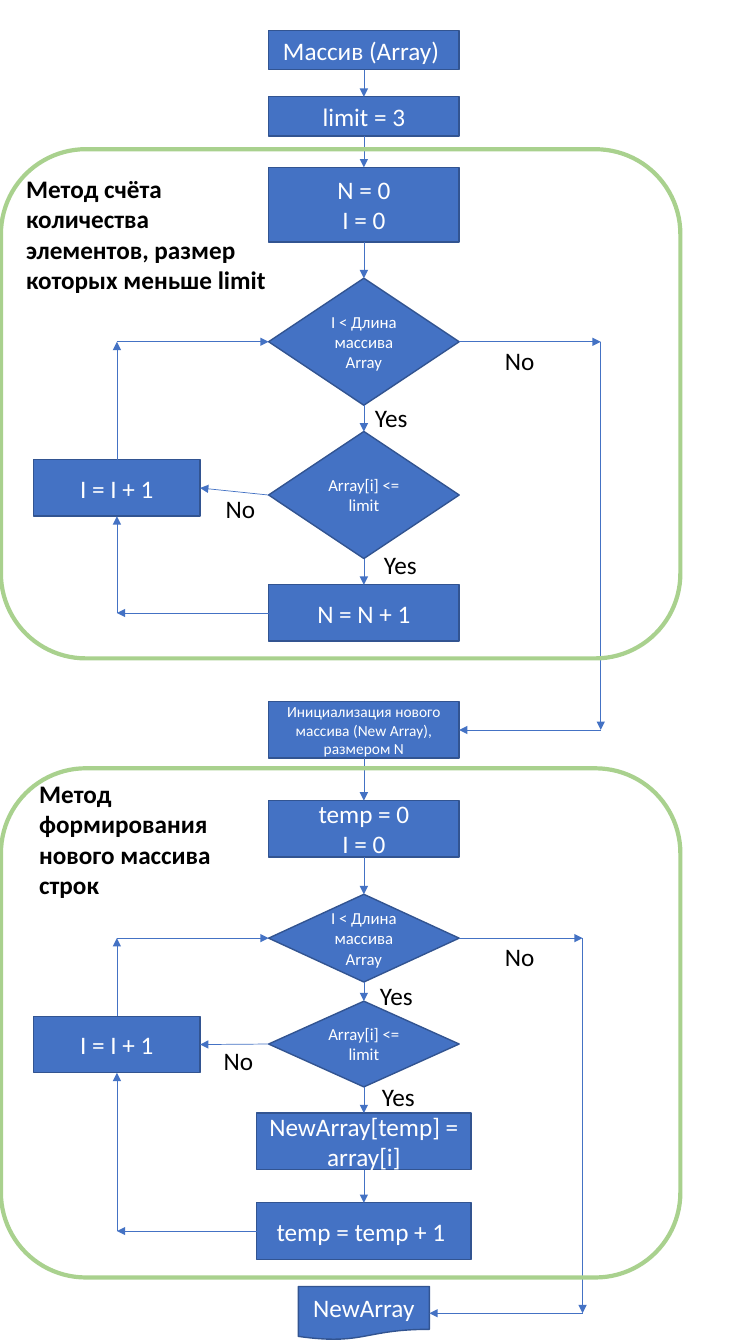
from dataclasses import dataclass
from itertools import pairwise

from lxml.etree import SubElement
from pptx import Presentation
from pptx.dml.color import RGBColor
from pptx.enum.shapes import MSO_CONNECTOR, MSO_SHAPE
from pptx.enum.text import MSO_ANCHOR, MSO_AUTO_SIZE, PP_ALIGN
from pptx.oxml.ns import qn
from pptx.shapes.autoshape import Shape
from pptx.shapes.shapetree import SlideShapes
from pptx.text.text import TextFrame
from pptx.util import Inches, Pt

FONT = "Calibri"
COLORS = {
    "step": "4472C4",
    "outline": "325491",
    "frame": "A9D18E",
    "light": "FFFFFF",
    "dark": "000000",
}
TOP, LEFT, BOTTOM, RIGHT = range(4)
SPINE_X, LOOP_X = 3.61, 1.16
COUNT_EXIT_X, BUILD_EXIT_X = 5.96, 5.78


@dataclass(frozen=True)
class Step:
    text: str
    center: float
    top: float
    height: float = 0.56
    width: float = 1.89
    size: int = 18
    outline: MSO_SHAPE = MSO_SHAPE.RECTANGLE

    @property
    def left(self) -> float:
        return self.center - self.width / 2

    @property
    def middle(self) -> float:
        return self.top + self.height / 2


@dataclass(frozen=True)
class Port:
    step: str
    side: int


@dataclass(frozen=True)
class Corner:
    x: float
    y: float


@dataclass(frozen=True)
class Label:
    text: str
    left: float
    top: float
    width: float
    height: float = 0.4
    bold: bool = False


@dataclass(frozen=True)
class Frame:
    top: float
    title: Label


def decision(text: str, top: float, height: float) -> Step:
    return Step(text, SPINE_X, top, height, size=12, outline=MSO_SHAPE.FLOWCHART_DECISION)


STEPS = {
    "array": Step("Массив (Array) ", SPINE_X, 0.3, 0.39),
    "limit": Step("limit = 3", SPINE_X, 0.96, 0.39),
    "count start": Step("N = 0\nI = 0", SPINE_X, 1.66, 0.74),
    "count length": decision("I < Длина массива Array", 2.76, 1.26),
    "count check": decision("Array[i] <= limit", 4.28, 1.26),
    "count add": Step("N = N + 1", SPINE_X, 5.8),
    "count next": Step("I = I + 1", LOOP_X, 4.56, width=1.65),
    "new array": Step("Инициализация нового массива (New Array), размером N", SPINE_X, 6.96, size=11),
    "build start": Step("temp = 0\nI = 0", SPINE_X, 7.94),
    "build length": decision("I < Длина массива Array", 8.87, 0.87),
    "build check": decision("Array[i] <= limit", 9.93, 0.85),
    "build copy": Step("NewArray[temp] = array[i]", SPINE_X, 11.04, width=2.13),
    "build add": Step("temp = temp + 1 ", SPINE_X, 11.93, width=2.13),
    "build next": Step("I = I + 1", LOOP_X, 10.08, width=1.65),
    "result": Step("NewArray", SPINE_X, 12.76, 0.53, 1.3, outline=MSO_SHAPE.FLOWCHART_DOCUMENT),
}
CHAINS = [
    ["array", "limit", "count start", "count length", "count check", "count add"],
    ["new array", "build start", "build length", "build check", "build copy", "build add"],
]
EXITS = [
    ("count length", COUNT_EXIT_X, "new array"),
    ("build length", BUILD_EXIT_X, "result"),
]
LABELS = [
    Label("Yes", 3.62, 3.94, 0.6),
    Label("Yes", 3.71, 5.4, 0.6),
    Label("No", 2.14, 4.84, 0.52),
    Label("No", 4.91, 3.38, 0.52),
    Label("No", 2.12, 10.32, 0.52),
    Label("No", 4.91, 9.29, 0.52),
    Label("Yes", 3.67, 9.67, 0.6),
    Label("Yes", 3.69, 10.68, 0.6),
]
FRAMES = [
    Frame(1.48, Label("Метод счёта количества элементов, размер которых меньше limit",
                      0.16, 1.67, 2.62, 1.31, True)),
    Frame(7.62, Label("Метод формирования нового массива строк",
                      0.29, 7.67, 2.26, 1.31, True)),
]


def rgb(name: str) -> RGBColor:
    return RGBColor.from_string(COLORS[name])


def write(frame: TextFrame, text: str, size: int, color: str,
          align: PP_ALIGN, bold: bool = False) -> None:
    frame.word_wrap = True
    for index, line in enumerate(text.split("\n")):
        paragraph = frame.add_paragraph() if index else frame.paragraphs[0]
        paragraph.alignment = align
        run = paragraph.add_run()
        run.text = line
        run.font.name = FONT
        run.font.size = Pt(size)
        run.font.bold = bold
        run.font.color.rgb = rgb(color)


def draw_step(shapes: SlideShapes, step: Step) -> Shape:
    box = shapes.add_shape(step.outline, Inches(step.left), Inches(step.top),
                           Inches(step.width), Inches(step.height))
    box.shadow.inherit = False
    box.fill.solid()
    box.fill.fore_color.rgb = rgb("step")
    box.line.color.rgb = rgb("outline")
    box.line.width = Pt(1)
    box.text_frame.vertical_anchor = MSO_ANCHOR.MIDDLE
    write(box.text_frame, step.text, step.size, "light", PP_ALIGN.CENTER)
    return box


def locate(stop: Port | Corner) -> Corner:
    if isinstance(stop, Corner):
        return stop
    step = STEPS[stop.step]
    return {
        TOP: Corner(step.center, step.top),
        LEFT: Corner(step.left, step.middle),
        BOTTOM: Corner(step.center, step.top + step.height),
        RIGHT: Corner(step.left + step.width, step.middle),
    }[stop.side]


def draw_route(shapes: SlideShapes, boxes: dict[str, Shape], *stops: Port | Corner) -> None:
    for start, end in pairwise(stops):
        tail, head = locate(start), locate(end)
        arrow = shapes.add_connector(MSO_CONNECTOR.STRAIGHT, Inches(tail.x), Inches(tail.y),
                                     Inches(head.x), Inches(head.y))
        if isinstance(start, Port):
            arrow.begin_connect(boxes[start.step], start.side)
        if isinstance(end, Port):
            arrow.end_connect(boxes[end.step], end.side)
        arrow.line.color.rgb = rgb("step")
        arrow.line.width = Pt(0.5)
        SubElement(arrow.line._get_or_add_ln(), qn("a:tailEnd"), type="triangle")
        SubElement(arrow._element.spPr, qn("a:effectLst"))


def draw_label(shapes: SlideShapes, label: Label) -> None:
    box = shapes.add_textbox(Inches(label.left), Inches(label.top),
                             Inches(label.width), Inches(label.height))
    box.text_frame.auto_size = MSO_AUTO_SIZE.SHAPE_TO_FIT_TEXT
    write(box.text_frame, label.text, 18, "dark", PP_ALIGN.LEFT, label.bold)


def draw_frame(shapes: SlideShapes, frame: Frame) -> None:
    border = shapes.add_shape(MSO_SHAPE.ROUNDED_RECTANGLE, Inches(0.01), Inches(frame.top),
                              Inches(6.74), Inches(5.05))
    border.shadow.inherit = False
    border.fill.background()
    border.line.color.rgb = rgb("frame")
    border.line.width = Pt(3)
    draw_label(shapes, frame.title)


def main() -> None:
    deck = Presentation()
    deck.slide_width, deck.slide_height = Inches(7.5), Inches(13.33)
    shapes = deck.slides.add_slide(deck.slide_layouts[6]).shapes
    boxes = {key: draw_step(shapes, step) for key, step in STEPS.items()}
    for chain in CHAINS:
        for upper, lower in pairwise(chain):
            draw_route(shapes, boxes, Port(upper, BOTTOM), Port(lower, TOP))
    for part in ("count", "build"):
        length, check, add, following = (f"{part} {name}" for name in ("length", "check", "add", "next"))
        draw_route(shapes, boxes, Port(check, LEFT), Port(following, RIGHT))
        draw_route(shapes, boxes, Port(add, LEFT), Corner(LOOP_X, STEPS[add].middle),
                   Port(following, BOTTOM))
        draw_route(shapes, boxes, Port(following, TOP), Corner(LOOP_X, STEPS[length].middle),
                   Port(length, LEFT))
    for source, x, target in EXITS:
        draw_route(shapes, boxes, Port(source, RIGHT), Corner(x, STEPS[source].middle),
                   Corner(x, STEPS[target].middle), Port(target, RIGHT))
    for label in LABELS:
        draw_label(shapes, label)
    for frame in FRAMES:
        draw_frame(shapes, frame)
    deck.save("out.pptx")


if __name__ == "__main__":
    main()
